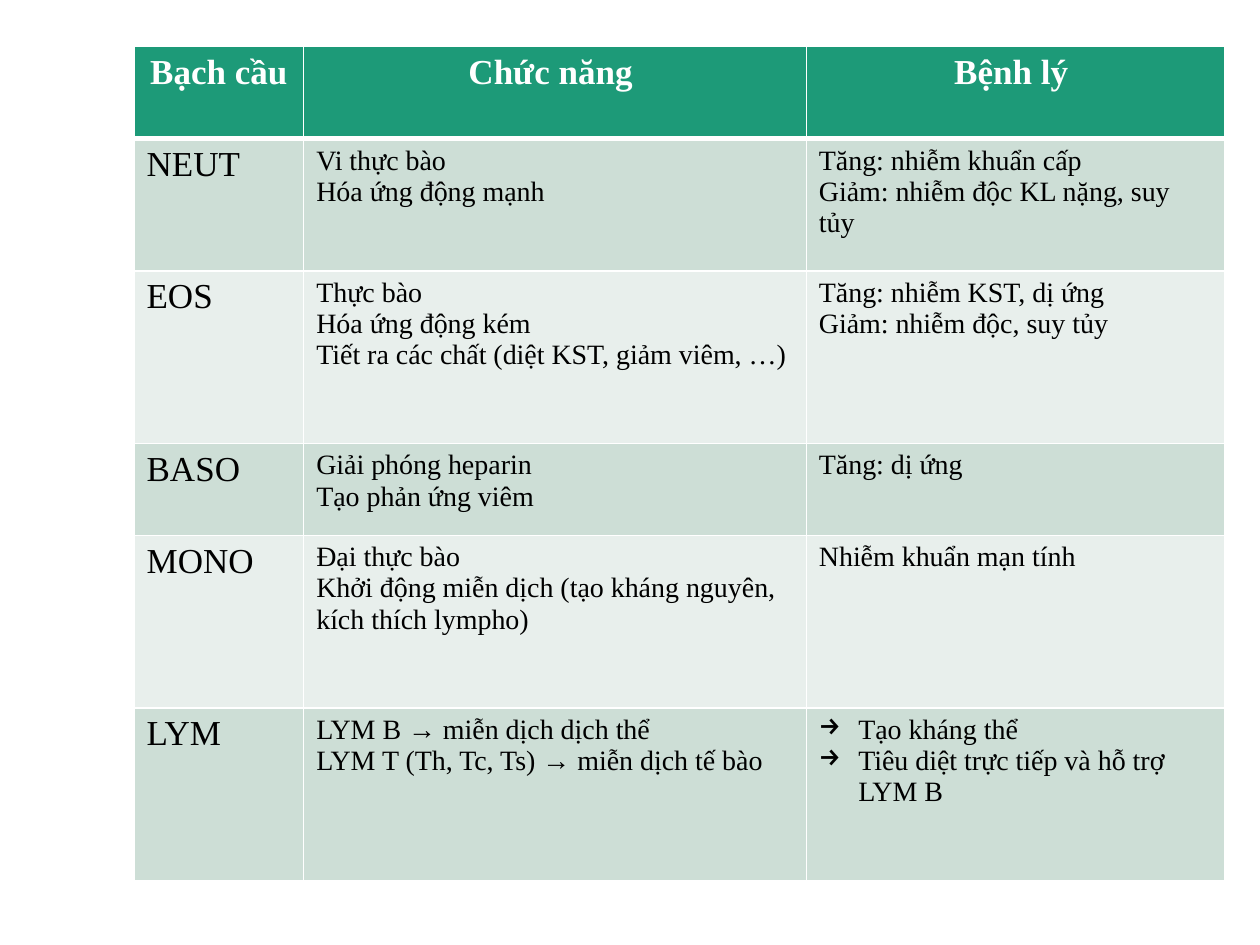
import pptx
import pptx.dml.color
import pptx.enum.text
import pptx.oxml
import pptx.oxml.ns
import pptx.util

Pt = pptx.util.Pt
ALIGN = pptx.enum.text.PP_ALIGN

COLORS = {
    "header": "1D9A78",
    "odd": "CDDED6",
    "even": "E8EFEC",
    "border": "FFFFFF",
    "header_text": "FFFFFF",
    "text": "000000",
}
FONT = "Times New Roman"
ARROW = "→"
ARROW_INDENT = 22.5
HEADINGS = ["Bạch cầu ", "Chức năng ", "Bệnh lý "]
CELL_TYPES = [
    ("NEUT",
     ["Vi thực bào", "Hóa ứng động mạnh"],
     ["Tăng: nhiễm khuẩn cấp", "Giảm: nhiễm độc KL nặng, suy tủy"]),
    ("EOS",
     ["Thực bào", "Hóa ứng động kém", "Tiết ra các chất (diệt KST, giảm viêm, …)"],
     ["Tăng: nhiễm KST, dị ứng", "Giảm: nhiễm độc, suy tủy"]),
    ("BASO",
     ["Giải phóng heparin", "Tạo phản ứng viêm"],
     ["Tăng: dị ứng"]),
    ("MONO",
     ["Đại thực bào", "Khởi động miễn dịch (tạo kháng nguyên, kích thích lympho)"],
     ["Nhiễm khuẩn mạn tính"]),
    ("LYM",
     ["LYM B → miễn dịch dịch thể", "LYM T (Th, Tc, Ts) → miễn dịch tế bào"],
     ["Tạo kháng thể", "Tiêu diệt trực tiếp và hỗ trợ LYM B"]),
]
ARROW_LISTED = {"LYM"}
LEFT, TOP = 76.6, 26.7
COLUMN_WIDTHS = [97, 287.2, 239.2]
ROW_HEIGHTS = [52.6, 75.6, 98.7, 52.5, 98.7, 98.7]


def rgb(name):
    return pptx.dml.color.RGBColor.from_string(COLORS[name])


def write(frame, lines, size=16, color="text", bold=False, align=ALIGN.LEFT, bullet=None):
    for index, line in enumerate(lines):
        paragraph = frame.add_paragraph() if index else frame.paragraphs[0]
        paragraph.alignment = align
        if bullet:
            properties = paragraph._p.get_or_add_pPr()
            properties.set("marL", str(Pt(ARROW_INDENT)))
            properties.set("indent", str(-Pt(ARROW_INDENT)))
            mark = pptx.oxml.ns.qn("a:buChar")
            properties.append(properties.makeelement(mark, {"char": bullet}))
        run = paragraph.add_run()
        run.text = line
        run.font.name = FONT
        run.font.size = Pt(size)
        run.font.bold = bold
        run.font.color.rgb = rgb(color)


def add_borders(cell, top=1, bottom=1):
    properties = cell._tc.get_or_add_tcPr()
    for side, width in (("L", 1), ("R", 1), ("T", top), ("B", bottom)):
        properties.append(pptx.oxml.parse_xml(
            f'<a:ln{side} {pptx.oxml.ns.nsdecls("a")} w="{Pt(width)}"><a:solidFill>'
            f'<a:srgbClr val="{COLORS["border"]}"/></a:solidFill></a:ln{side}>'))


def paint(cell, row):
    add_borders(cell, top=3 if row == 1 else 1, bottom=3 if row == 0 else 1)
    cell.fill.solid()
    cell.fill.fore_color.rgb = rgb("header" if row == 0 else "odd" if row % 2 else "even")


def main():
    deck = pptx.Presentation()
    deck.slide_width, deck.slide_height = Pt(720), Pt(540)
    slide = deck.slides.add_slide(deck.slide_layouts[6])
    leukocytes = slide.shapes.add_table(
        len(ROW_HEIGHTS), len(COLUMN_WIDTHS), Pt(LEFT), Pt(TOP),
        Pt(sum(COLUMN_WIDTHS)), Pt(sum(ROW_HEIGHTS))).table
    for column, width in zip(leukocytes.columns, COLUMN_WIDTHS):
        column.width = Pt(width)
    for row, (table_row, height) in enumerate(zip(leukocytes.rows, ROW_HEIGHTS)):
        table_row.height = Pt(height)
        for cell in table_row.cells:
            paint(cell, row)

    for column, heading in enumerate(HEADINGS):
        write(leukocytes.cell(0, column).text_frame, [heading], size=20,
              color="header_text", bold=True, align=ALIGN.CENTER)
    for row, (name, functions, disorders) in enumerate(CELL_TYPES, start=1):
        write(leukocytes.cell(row, 0).text_frame, [name], size=20)
        write(leukocytes.cell(row, 1).text_frame, functions)
        write(leukocytes.cell(row, 2).text_frame, disorders,
              bullet=ARROW if name in ARROW_LISTED else None)
    deck.save("out.pptx")


if __name__ == "__main__":
    main()
